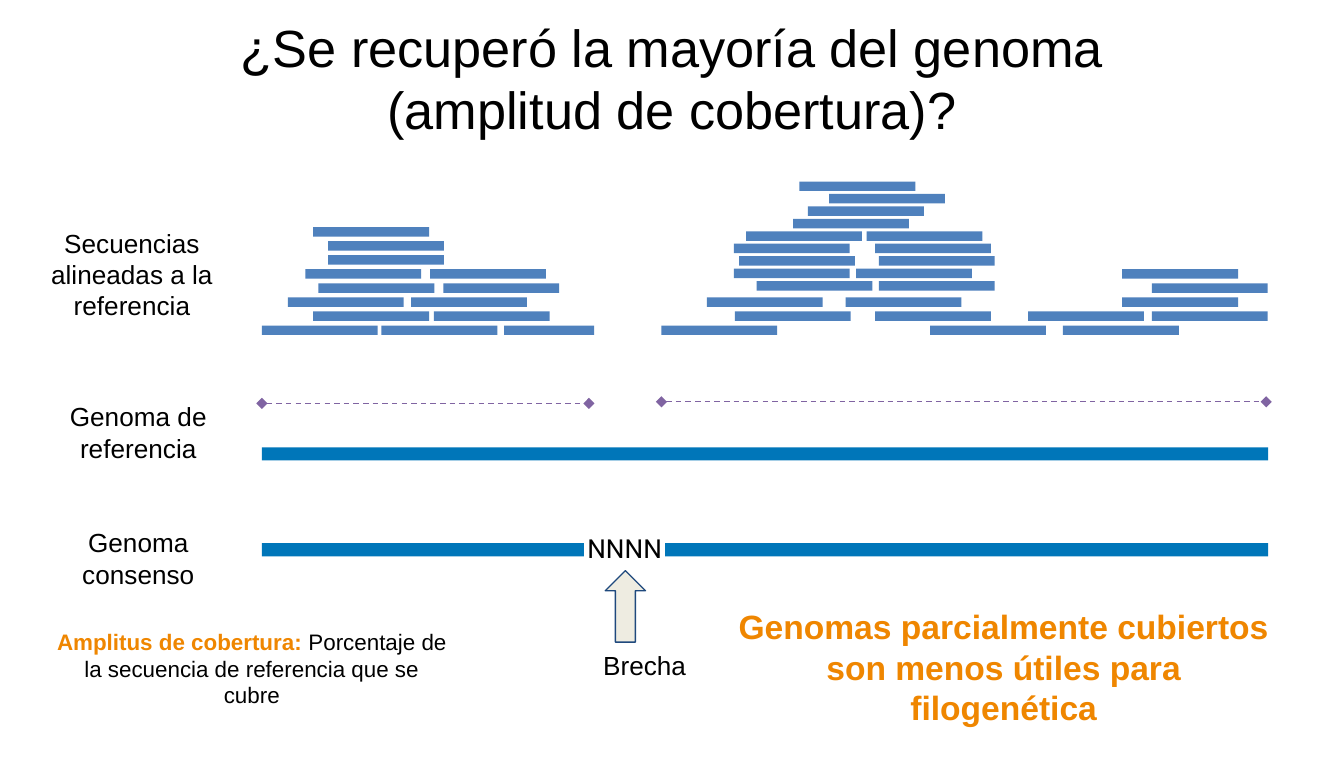
"""Build the slide on breadth of genome coverage."""
from lxml import etree
from pptx import Presentation
from pptx.dml.color import RGBColor
from pptx.enum.dml import MSO_LINE
from pptx.enum.shapes import MSO_CONNECTOR, MSO_SHAPE
from pptx.enum.text import MSO_ANCHOR, MSO_AUTO_SIZE, PP_ALIGN
from pptx.oxml.ns import qn
from pptx.util import Cm, Pt

RECT, UP_ARROW = MSO_SHAPE.RECTANGLE, MSO_SHAPE.UP_ARROW
STRAIGHT, DASH = MSO_CONNECTOR.STRAIGHT, MSO_LINE.DASH
CENTER, LEFT = PP_ALIGN.CENTER, PP_ALIGN.LEFT
TOP, NO_FIT = MSO_ANCHOR.TOP, MSO_AUTO_SIZE.NONE
READ, GENOME, ORANGE, WHITE = "4F81BD", "0076B9", "EF8600", "FFFFFF"


def add_block(kind, x, y, w, h, fill, line=None):
    sp = s.shapes.add_shape(kind, Cm(x), Cm(y), Cm(w), Cm(h))
    sp.shadow.inherit = False
    sp.fill.solid()
    sp.fill.fore_color.rgb = RGBColor.from_string(fill)
    if line:
        sp.line.color.rgb = RGBColor.from_string(line)
        sp.line.width = Pt(0.75)
    else:
        sp.line.fill.background()


def set_text(sp, box, runs, size, align=CENTER, font="Arial"):
    sp.left, sp.top, sp.width, sp.height = [Cm(v) for v in box]
    tf = sp.text_frame
    tf.word_wrap, tf.auto_size, tf.vertical_anchor = True, NO_FIT, TOP
    tf.margin_left = tf.margin_right = tf.margin_top = tf.margin_bottom = Cm(0.25)
    p = tf.paragraphs[0]
    p.alignment = align
    p.font.name, p.font.size = font, Pt(size)
    for text, color, bold in runs:
        r = p.add_run()
        r.text = text
        r.font.bold = bold
        r.font.color.rgb = RGBColor.from_string(color)


prs = Presentation()
prs.slide_width, prs.slide_height = Cm(25.4), Cm(14.3)
s = prs.slides.add_slide(prs.slide_layouts[5])
set_text(s.shapes.title, (2.51, 0.03, 20.37, 2.39),
         [("¿Se recuperó la mayoría del genoma (amplitud de cobertura)?", "000000", False)], 28)

base_rows = [
    [4.95, 7.21, 12.5, 17.58, 20.09],
    [5.92, 8.2, 13.89, 16.54, 19.43, 21.77],
    [5.44, 7.77, 13.36, 15.98, 21.21],
    [6.02, 8.38, 21.77],
    [5.77, 8.13, 21.21],
    [6.2],
    [6.2],
    [5.92],
]
peak_rows = [
    [14.3, 16.61],
    [13.87, 16.18],
    [13.97, 16.61],
    [13.87, 16.54],
    [14.1, 16.38],
    [14.99],
    [15.27],
    [15.67],
    [15.11],
]
for rows, bottom, top in [(base_rows, 6.15, 4.29), (peak_rows, 5.31, 3.43)]:
    pitch = (bottom - top) / (len(rows) - 1)
    for i, row in enumerate(rows):
        for x in row:
            add_block(RECT, x, bottom - i * pitch, 2.19, 0.18, READ)
add_block(RECT, 9.53, 6.15, 1.7, 0.18, READ)

for y in (8.45, 10.26):
    add_block(RECT, 4.95, y, 19.02, 0.25, GENOME)
add_block(RECT, 11.05, 10.08, 1.5, 0.51, WHITE, WHITE)
add_block(UP_ARROW, 11.44, 10.78, 0.76, 1.35, "EEECE1", "1F497D")

for x1, x2, y in [(4.95, 11.13, 7.62), (12.5, 23.93, 7.59)]:
    cn = s.shapes.add_connector(STRAIGHT, Cm(x1), Cm(y), Cm(x2), Cm(y))
    cn.line.color.rgb = RGBColor.from_string("8064A2")
    cn.line.width = Pt(0.75)
    cn.line.dash_style = DASH
    ln = cn.line._get_or_add_ln()
    for end in ("a:headEnd", "a:tailEnd"):
        etree.SubElement(ln, qn(end), type="diamond")
    etree.SubElement(cn._element.spPr, qn("a:effectLst"))

labels = [
    ("Secuencias alineadas a la referencia", (0.64, 4.04, 3.71, 2.26), CENTER, "Arial"),
    ("Genoma de referencia", (0.76, 7.32, 3.71, 2.26), CENTER, "Arial"),
    ("Genoma consenso", (0.76, 9.7, 3.71, 2.26), CENTER, "Arial"),
    ("NNNN", (10.85, 9.8, 3.23, 1.35), LEFT, "Roboto"),
    ("Brecha", (11.15, 12.01, 2.18, 2.25), LEFT, "Arial"),
]
for text, box, align, font in labels:
    set_text(s.shapes.add_textbox(0, 0, 0, 0), box, [(text, "000000", False)], 14, align, font)

set_text(s.shapes.add_textbox(0, 0, 0, 0), (0.76, 11.61, 8, 1.55),
         [("Amplitus de cobertura: ", ORANGE, True),
          ("Porcentaje de la secuencia de referencia que se cubre", "000000", False)], 12)
set_text(s.shapes.add_textbox(0, 0, 0, 0), (13.61, 11.2, 10.72, 1.55),
         [("Genomas parcialmente cubiertos son menos útiles para filogenética", ORANGE, True)], 18)

prs.save("out.pptx")
